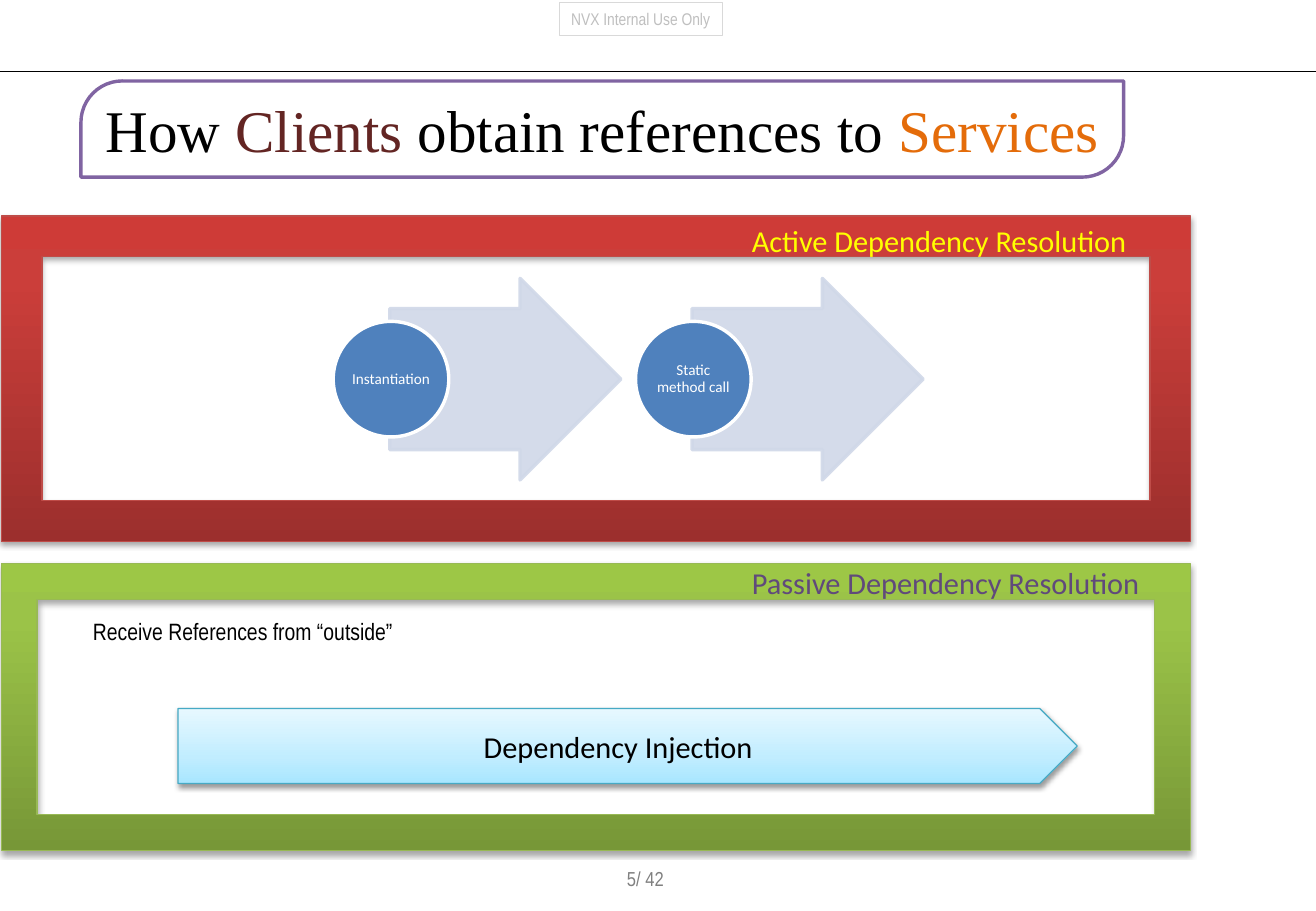
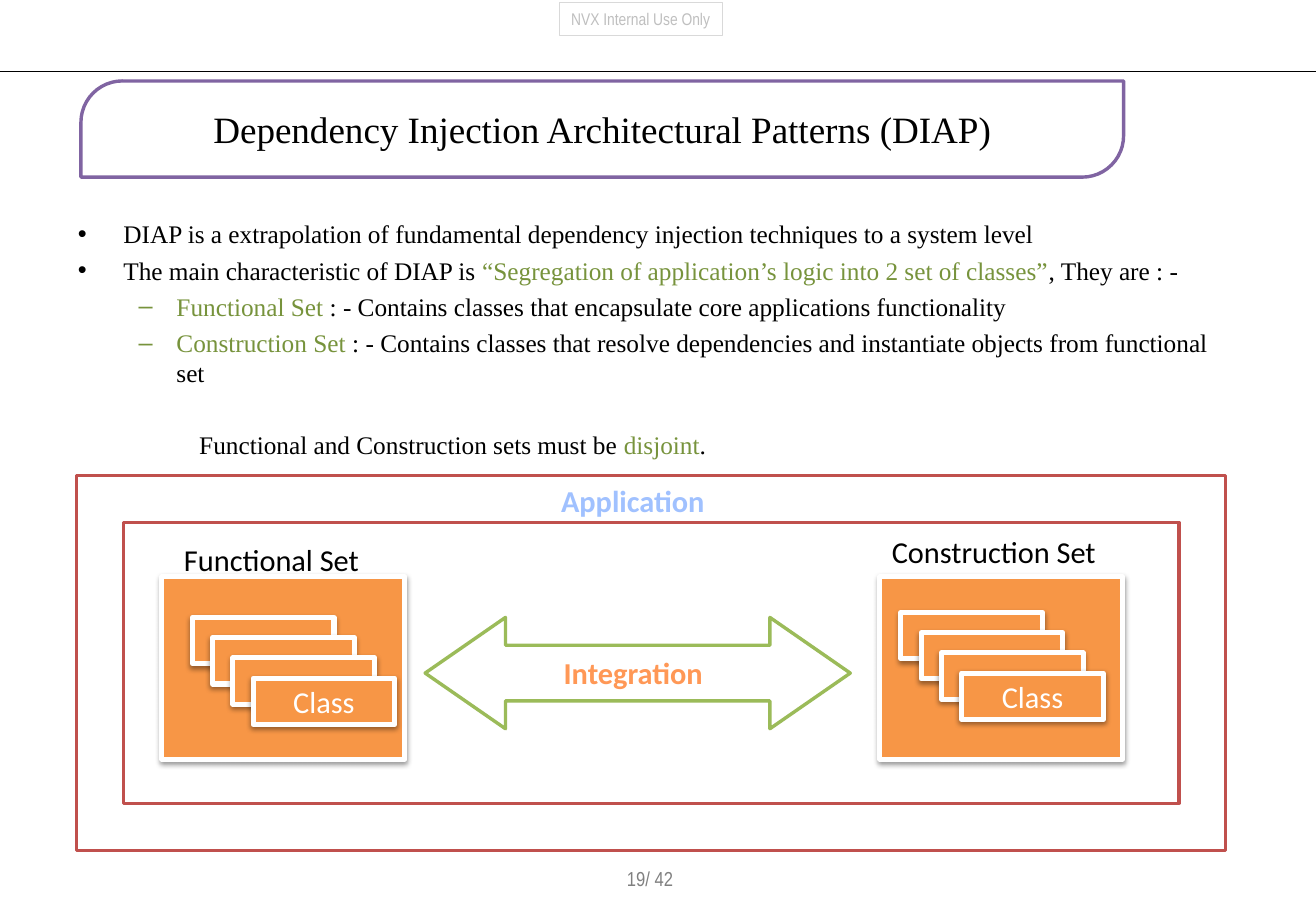
from lxml import etree
from pptx import Presentation
from pptx.dml.color import RGBColor
from pptx.enum.shapes import MSO_CONNECTOR, MSO_SHAPE
from pptx.enum.text import MSO_ANCHOR, PP_ALIGN
from pptx.oxml.ns import qn
from pptx.util import Pt

RECT, FRAME, OVAL = MSO_SHAPE.RECTANGLE, MSO_SHAPE.FRAME, MSO_SHAPE.OVAL
TITLE_SHAPE, PENTAGON = MSO_SHAPE.ROUND_2_DIAG_RECTANGLE, MSO_SHAPE.PENTAGON
RIGHT_ARROW, DOUBLE_ARROW = MSO_SHAPE.RIGHT_ARROW, MSO_SHAPE.LEFT_RIGHT_ARROW
STRAIGHT = MSO_CONNECTOR.STRAIGHT
LEFT, CENTER = PP_ALIGN.LEFT, PP_ALIGN.CENTER
TOP, MIDDLE = MSO_ANCHOR.TOP, MSO_ANCHOR.MIDDLE

BLACK, WHITE, GREEN, ORANGE = "000000", "FFFFFF", "77933C", "F79646"
SERIF, SANS, NARROW = "Times New Roman", "Calibri", "Arial Narrow"
RED_FADE = [(0, "9C2F2D"), (80, "CB3E3A"), (100, "CE3B37")]
GREEN_FADE = [(0, "779737"), (80, "9BC348"), (100, "9DC746")]
BLUE_FADE = [(0, "A7E6FF"), (35, "C1EDFF"), (100, "E7F8FF")]
FRAME_SHADOW, BOX_SHADOW = (35, 1.8), (38, 1.6)  # opacity %, distance
SHADOW_BLUR = 3.1


def rgb(value):
    return RGBColor.from_string(value)


def add_xml(parent, tag, **attributes):
    values = {key: str(value) for key, value in attributes.items()}
    return etree.SubElement(parent, qn(tag), values)


def add_color(parent, color, alpha=None):
    node = add_xml(parent, "a:srgbClr", val=color)
    if alpha is not None:
        add_xml(node, "a:alpha", val=alpha * 1000)


class Deck:
    def __init__(self, width, height):
        self.prs = Presentation()
        self.width = width
        self.prs.slide_width, self.prs.slide_height = Pt(width), Pt(height)
        self.slide = None

    def new_slide(self, page, title, title_size):
        """Start a slide with the stamp, rule, page number and title."""
        self.slide = self.prs.slides.add_slide(self.prs.slide_layouts[6])
        stamp = self.shape(RECT, 331.5, 1.5, 97, 19.5, line="D9D9D9", weight=0.5)
        self.set_text(stamp, [("NVX Internal Use Only", "BFBFBF")], 10, NARROW,
                      align=LEFT)
        rule = self.slide.shapes.add_connector(
            STRAIGHT, Pt(0), Pt(42.5), Pt(self.width), Pt(42.5))
        rule.line.color.rgb, rule.line.width = rgb(BLACK), Pt(0.75)
        add_xml(rule._element.spPr, "a:effectLst")
        self.label(364.5, 510, 43, [(page, "808080")], 12, NARROW)
        banner = self.shape(TITLE_SHAPE, 48, 48, 618, 57, WHITE, "8064A2", 2,
                            adjust=(0.431, 0))
        self.set_text(banner, title, title_size, SERIF)

    def shape(self, kind, x, y, w, h, fill=None, line=None, weight=0.75,
              adjust=(), shadow=None, alpha=None):
        """Add a preset shape; a list as fill is a bottom-to-top gradient."""
        item = self.slide.shapes.add_shape(kind, Pt(x), Pt(y), Pt(w), Pt(h))
        for index, value in enumerate(adjust):
            item.adjustments[index] = value
        properties = item._element.spPr
        if fill is None:
            item.fill.background()
        elif isinstance(fill, list):
            item.fill.gradient()
            item.fill.gradient_angle = 90
            stops = properties.find(".//" + qn("a:gsLst"))
            stops.clear()
            for position, color in fill:
                add_color(add_xml(stops, "a:gs", pos=position * 1000), color)
        else:
            item.fill.solid()
            item.fill.fore_color.rgb = rgb(fill)
        item.line.color.rgb, item.line.width = rgb(line), Pt(weight)
        if alpha is not None:
            for color in properties.iter(qn("a:srgbClr")):
                add_xml(color, "a:alpha", val=alpha * 1000)
        item.shadow.inherit = False
        if shadow:
            opacity, distance = shadow
            outer = add_xml(properties.find(qn("a:effectLst")), "a:outerShdw",
                            blurRad=Pt(SHADOW_BLUR), dist=Pt(distance),
                            dir=5400000, rotWithShape=0)
            add_color(outer, BLACK, opacity)
        return item

    def add_runs(self, paragraph, runs, size, font, bold=False):
        for text, color in runs:
            run = paragraph.add_run()
            run.text = text
            style = {"name": font, "size": Pt(size), "bold": bold}
            for key, value in style.items():
                setattr(run.font, key, value)
            run.font.color.rgb = rgb(color)

    def set_text(self, item, runs, size, font, bold=False, align=CENTER,
                 anchor=MIDDLE, wrap=False, inset=None, spacing=None):
        """Put one paragraph of coloured runs into a shape or text box."""
        frame = item.text_frame
        layout = {"word_wrap": wrap, "vertical_anchor": anchor}
        if inset is not None:
            for side in ("left", "right", "top", "bottom"):
                layout["margin_" + side] = Pt(inset)
        for key, value in layout.items():
            setattr(frame, key, value)
        paragraph = frame.paragraphs[0]
        paragraph.alignment = align
        if spacing:
            paragraph.line_spacing = spacing
        self.add_runs(paragraph, runs, size, font, bold)

    def label(self, x, y, w, runs, size=18, font=SANS, bold=False):
        box = self.slide.shapes.add_textbox(Pt(x), Pt(y), Pt(w), Pt(size * 1.2 + 7.2))
        self.set_text(box, runs, size, font, bold, LEFT, TOP)

    def bullets(self, x, y, w, h, items, size):
        """Add a list of (bullet, left, hanging, space before, runs)."""
        box = self.slide.shapes.add_textbox(Pt(x), Pt(y), Pt(w), Pt(h))
        frame = box.text_frame
        frame.word_wrap = True
        for index, (mark, left, hanging, before, runs) in enumerate(items):
            paragraph = frame.add_paragraph() if index else frame.paragraphs[0]
            paragraph.space_before = Pt(before)
            properties = paragraph._p.get_or_add_pPr()
            properties.set("marL", str(Pt(left)))
            properties.set("indent", str(Pt(-hanging)))
            if mark:
                add_xml(properties, "a:buFont", typeface="Arial")
                add_xml(properties, "a:buChar", char=mark)
            self.add_runs(paragraph, runs, size, SERIF)

    def class_set(self, x, stack_x, stack_y):
        """Add a set box holding a cascade of four class cards."""
        card = {"fill": ORANGE, "line": WHITE, "weight": 3, "shadow": BOX_SHADOW}
        self.shape(RECT, x, 342, 144, 108, **card)
        for step in range(4):
            front = self.shape(RECT, stack_x + 12 * step, stack_y + 12 * step,
                               84, 27.5, **card)
        self.set_text(front, [("Class", WHITE)], 18, SANS)


def references_slide(deck):
    deck.new_slide("5/ 42", [("How ", BLACK), ("Clients", "632523"),
                             (" obtain references to ", BLACK),
                             ("Services", "E46C0A")], 35)

    # Active and passive panels
    panels = [
        (128, 193, RED_FADE, "BF4C48", 128, "Active Dependency Resolution", "FFFF00"),
        (334, 170, GREEN_FADE, "98B955", 331, "Passive Dependency Resolution", "604A7B"),
    ]
    for y, h, fade, border, label_y, name, color in panels:
        deck.shape(FRAME, 0.75, y, 705, h, fade, border, shadow=FRAME_SHADOW)
        deck.label(438.5, label_y, 245, [(name, color)])

    # Ways to resolve actively
    for index, way in enumerate(["Instantiation", "Static method call"]):
        x = 197.5 + 179.2 * index
        deck.shape(RIGHT_ARROW, x + 33.5, 165, 137, 119.5, "D0D8E8", "D0D8E8", 2,
                   adjust=(0.7, 0.5), alpha=90)
        circle = deck.shape(OVAL, x, 190.5, 68.5, 68.5, "4F81BD", WHITE, 2)
        deck.set_text(circle, [(way, WHITE)], 9, SANS, wrap=True, inset=0.7,
                      spacing=0.9)

    # Passive resolution
    deck.label(48, 362, 200, [("Receive References from “outside”", BLACK)], 14, NARROW)
    injection = deck.shape(PENTAGON, 105.5, 420, 533, 44.5, BLUE_FADE, "46AAC5",
                           shadow=BOX_SHADOW)
    deck.set_text(injection, [("Dependency Injection", BLACK)], 18, SANS)


def patterns_slide(deck):
    deck.new_slide("19/ 42", [("Dependency Injection Architectural Patterns (DIAP)",
                               BLACK)], 22)

    # Characteristics
    main_level, sub_level = ("•", 27, 27, 3.5), ("–", 58.5, 22.5, 3.5)
    deck.bullets(39, 126, 702, 150, [
        (*main_level, [("DIAP is a extrapolation of fundamental dependency injection "
                        "techniques to a system level", BLACK)]),
        (*main_level, [("The main characteristic of DIAP is ", BLACK),
                       ("“Segregation of application’s logic into 2 set of classes”",
                        GREEN),
                       (", They are : -", BLACK)]),
        (*sub_level, [("Functional Set ", GREEN),
                      (": - Contains classes that encapsulate core applications "
                       "functionality", BLACK)]),
        (*sub_level, [("Construction Set ", GREEN),
                      (": - Contains classes that resolve dependencies and "
                       "instantiate objects from functional set", BLACK)]),
        (None, 72, 0, 24.5, [("Functional and Construction sets must be ", BLACK),
                             ("disjoint", GREEN), (".", BLACK)]),
    ], 15)

    # Application frame
    deck.shape(FRAME, 45.5, 282, 681, 222, WHITE, "C0504D", 2)
    deck.label(325.5, 282, 100, [("Application", "A0C1FF")], bold=True)

    # Class sets and their integration
    deck.class_set(96, 114, 366)
    deck.class_set(521.5, 534, 363)
    deck.shape(DOUBLE_ARROW, 252, 366, 252, 66, WHITE, "9BBB59", 2,
               adjust=(0.5, 0.722))
    deck.label(327, 384.5, 101.5, [("Integration", "FF9856")], bold=True)
    deck.label(102, 317, 119.5, [("Functional Set", BLACK)])
    deck.label(521.5, 312.5, 137, [("Construction Set", BLACK)])


def main():
    deck = Deck(780, 540)
    references_slide(deck)
    patterns_slide(deck)
    deck.prs.save("out.pptx")


if __name__ == "__main__":
    main()
